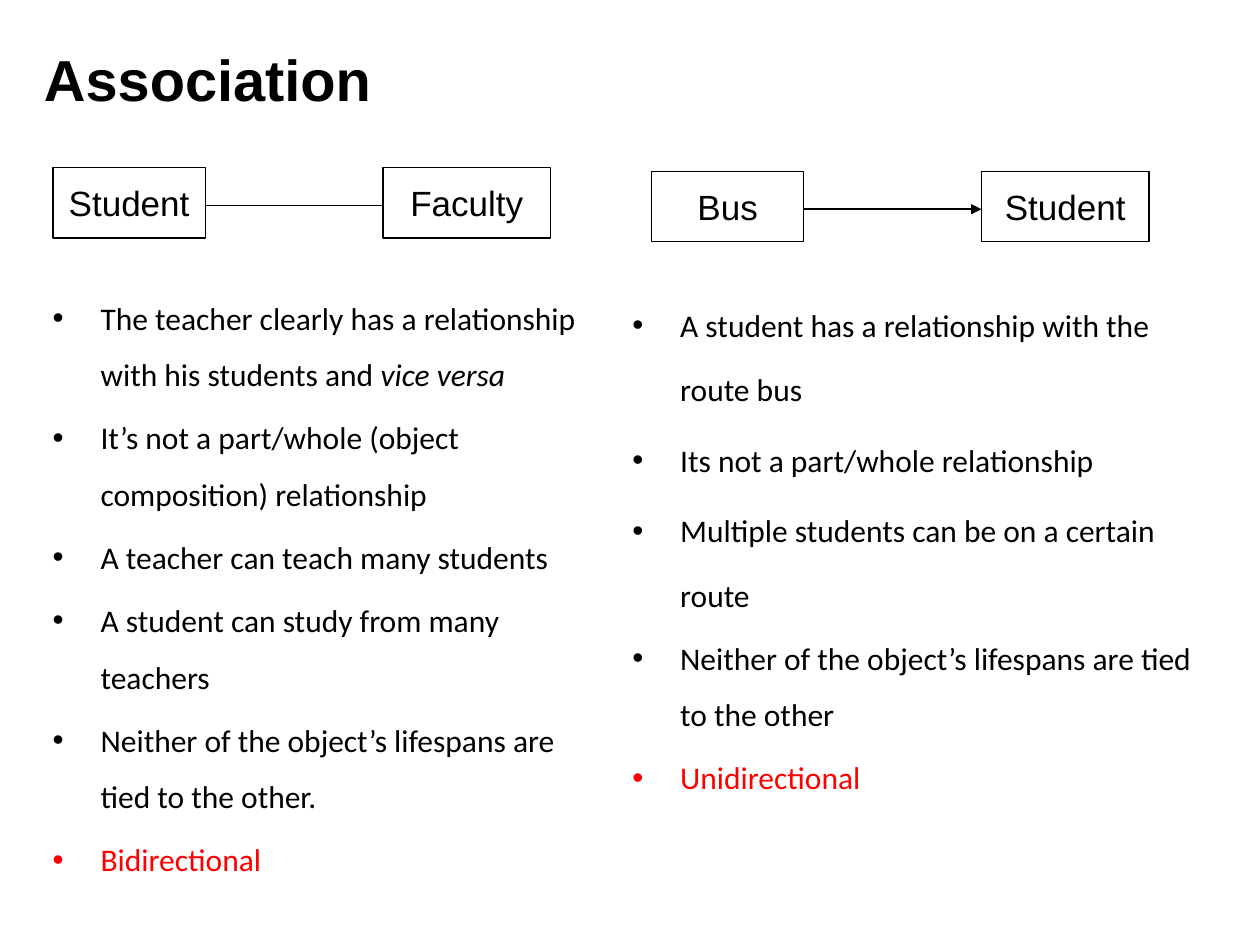
"""Build the Association slide with two class diagrams and their notes."""
from dataclasses import dataclass
from typing import Any

from lxml.etree import SubElement
from pptx import Presentation
from pptx.dml.color import RGBColor
from pptx.enum.shapes import MSO_CONNECTOR as Connector, MSO_SHAPE as Shape
from pptx.enum.text import MSO_ANCHOR as Anchor, PP_ALIGN as Align
from pptx.oxml.ns import qn
from pptx.util import Inches, Pt

BLACK = RGBColor(0, 0, 0)
RED = RGBColor(255, 0, 0)


def add_span(para, text, font="Arial", size=20, color=BLACK, bold=False, italic=False):
    span = para.add_run()
    span.text = text
    span.font.name = font
    span.font.size = Pt(size)
    span.font.color.rgb = color
    span.font.bold = bold
    span.font.italic = italic


@dataclass
class Builder:
    page: Any
    note_font: str = "Calibri"
    note_size: int = 18
    line_width: float = 0.75
    indent: float = 0.38

    def text_box(self, left, top, width, height):
        box = self.page.shapes.add_textbox(
            Inches(left), Inches(top), Inches(width), Inches(height))
        box.text_frame.word_wrap = True
        return box.text_frame

    def title(self, text):
        frame = self.text_box(0.25, 0.17, 9.75, 0.91)
        frame.vertical_anchor = Anchor.MIDDLE
        add_span(frame.paragraphs[0], text, size=33, bold=True)

    def bullets(self, left, top, width, height, items):
        frame = self.text_box(left, top, width, height)
        for index, (spacing, spans) in enumerate(items):
            para = frame.paragraphs[0] if index == 0 else frame.add_paragraph()
            props = para._p.get_or_add_pPr()
            props.set("marL", str(Inches(self.indent)))
            props.set("indent", str(-Inches(self.indent)))
            SubElement(props, qn("a:buFont"), typeface="Arial")
            SubElement(props, qn("a:buChar"), char="•")
            para.line_spacing = spacing
            para.space_before = Pt(0.2 * self.note_size if index else 0)
            for text, style in spans:
                add_span(para, text, font=self.note_font, size=self.note_size, **style)

    def class_box(self, left, top, width, height, name):
        box = self.page.shapes.add_shape(
            Shape.RECTANGLE, Inches(left), Inches(top), Inches(width), Inches(height))
        box.shadow.inherit = False
        box.fill.background()
        box.line.color.rgb = BLACK
        box.line.width = Pt(self.line_width)
        frame = box.text_frame
        frame.word_wrap = False
        frame.vertical_anchor = Anchor.MIDDLE
        para = frame.paragraphs[0]
        para.alignment = Align.CENTER
        add_span(para, name)

    def link(self, start, end, y, arrow):
        line = self.page.shapes.add_connector(
            Connector.STRAIGHT, Inches(start), Inches(y), Inches(end), Inches(y))
        line.line.color.rgb = BLACK
        line.line.width = Pt(self.line_width)
        if arrow:
            SubElement(line.line._get_or_add_ln(), qn("a:headEnd"), type="triangle")
        SubElement(line._element.spPr, qn("a:effectLst"))

    def association(self, left, top, source, target, arrow=False):
        source_width, target_width, height, gap = 1.21, 1.33, 0.56, 1.41
        source_right = left + source_width
        target_left = source_right + gap
        self.class_box(left, top, source_width, height, source)
        self.class_box(target_left, top, target_width, height, target)
        self.link(target_left, source_right, top + 0.3, arrow)


def main():
    deck = Presentation()
    deck.slide_width, deck.slide_height = Inches(10), Inches(7.5)
    builder = Builder(deck.slides.add_slide(deck.slide_layouts[6]))
    builder.title("Association")
    builder.bullets(0.32, 2.17, 4.58, 4.42, [
        (1.5, [("The teacher clearly has a relationship with his students and ", {}),
               ("vice versa", {"italic": True})]),
        (1.5, [("It’s not a part/whole (object composition) relationship", {})]),
        (1.5, [("A teacher can teach many students", {})]),
        (1.5, [("A student can study from many teachers", {})]),
        (1.5, [("Neither of the object’s lifespans are tied to the other.", {})]),
        (1.5, [("Bidirectional", {"color": RED})]),
    ])
    builder.bullets(4.92, 2.17, 4.75, 4.5, [
        (1.7, [("A student has a relationship with the route bus", {})]),
        (1.7, [("Its not a part/whole relationship", {})]),
        (1.7, [("Multiple students can be on a certain route", {})]),
        (1.5, [("Neither of the object’s lifespans are tied to the other", {})]),
        (1.5, [("Unidirectional", {"color": RED})]),
    ])
    builder.association(0.42, 1.33, "Student", "Faculty")
    builder.association(5.17, 1.36, "Bus", "Student", arrow=True)
    deck.save("out.pptx")


if __name__ == "__main__":
    main()
